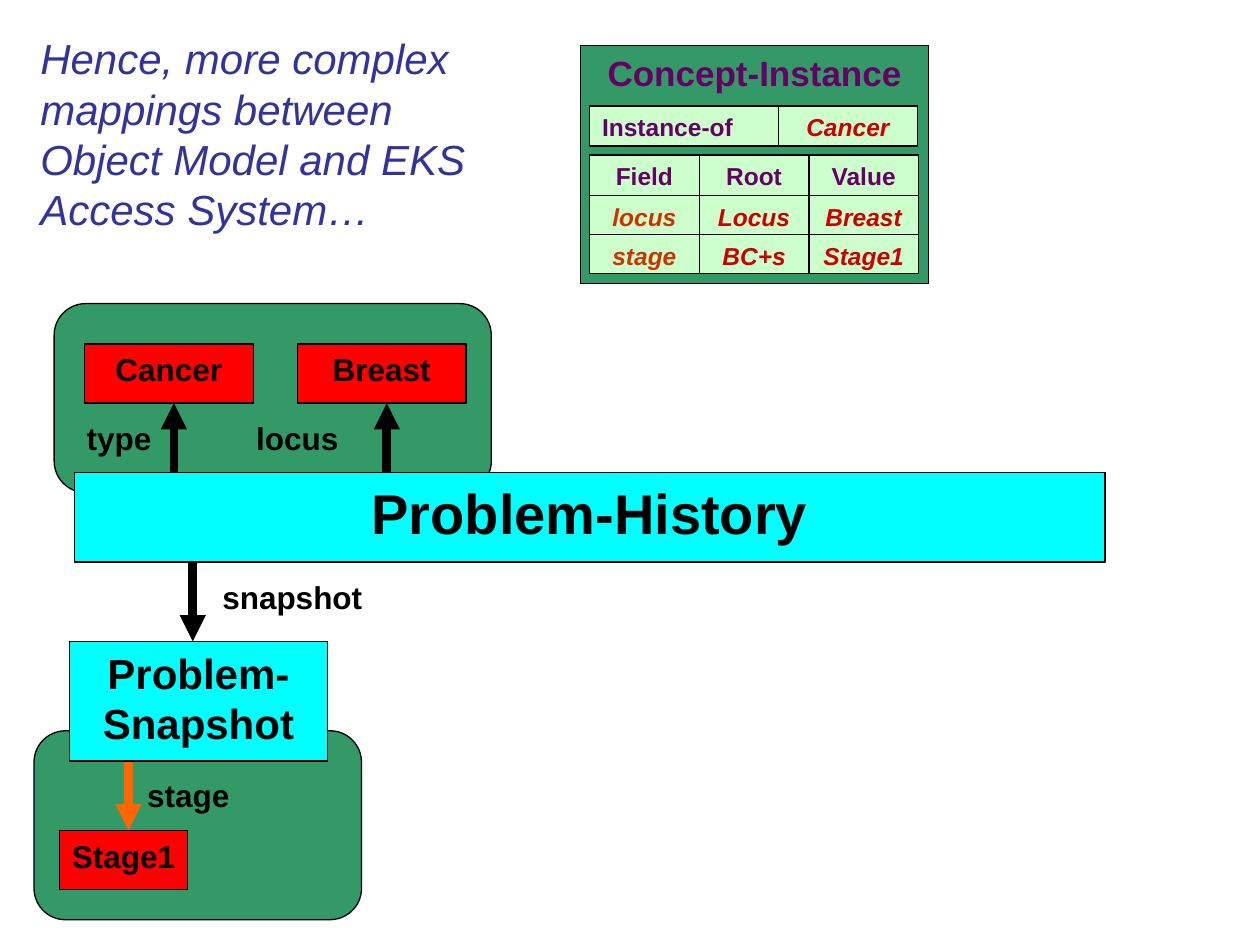
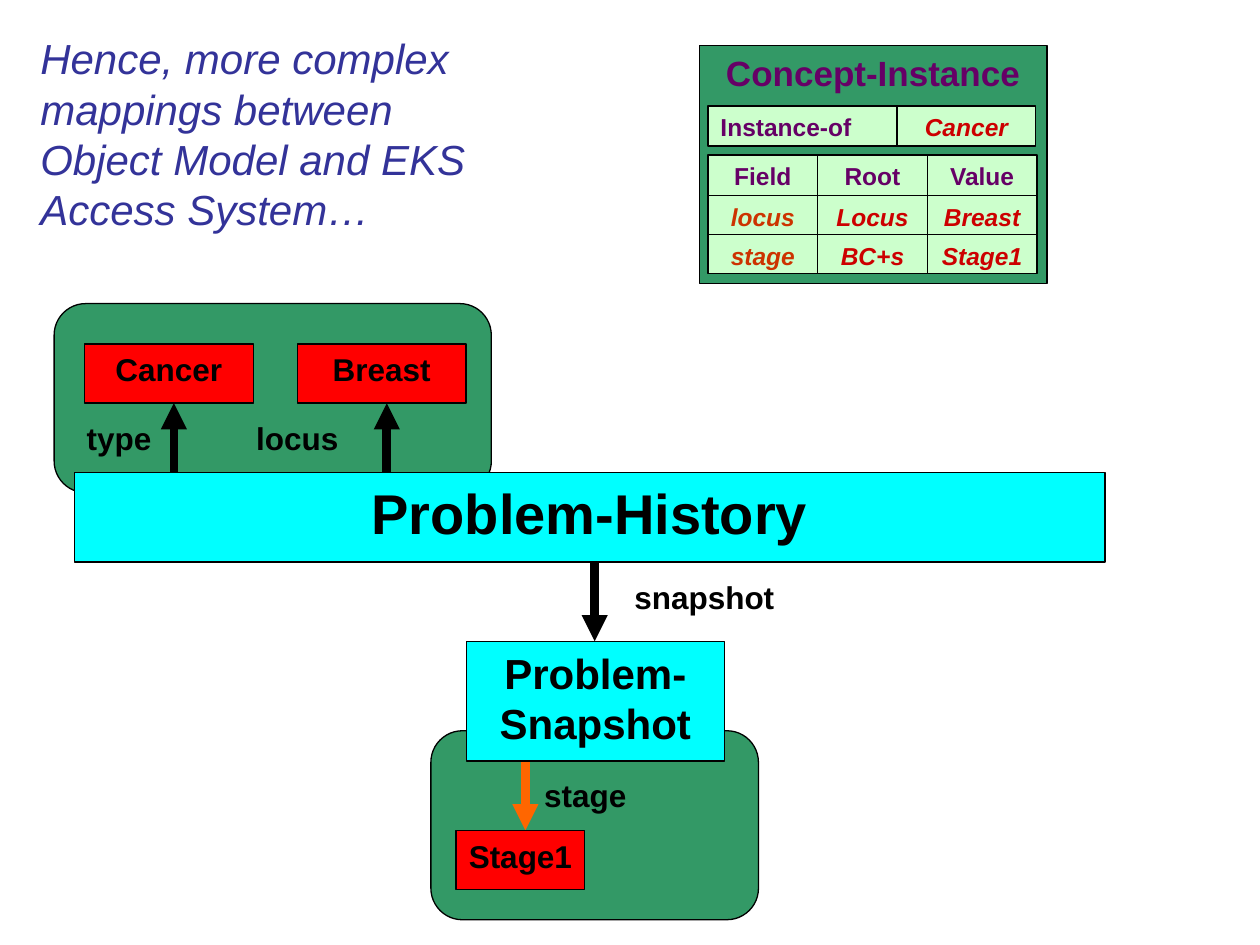
from dataclasses import dataclass
from itertools import accumulate

from lxml.etree import SubElement
from pptx import Presentation
from pptx.dml.color import RGBColor as Rgb
from pptx.enum.shapes import MSO_CONNECTOR as Conn, MSO_SHAPE as Kind
from pptx.enum.text import MSO_ANCHOR as Anchor, MSO_AUTO_SIZE as Fit, PP_ALIGN as Align
from pptx.oxml.ns import qn
from pptx.slide import Slide
from pptx.text.text import TextFrame
from pptx.util import Emu, Pt

SCALE = 9144  # EMU in one px, at 100 px to the inch


# Theme
@dataclass(frozen=True)
class Theme:
    font: str = "Arial"
    black: str = "000000"
    green: str = "339966"
    mint: str = "CCFFCC"
    cyan: str = "00FFFF"
    red: str = "FF0000"
    orange: str = "FF6600"
    blue: str = "333399"
    plum: str = "660066"
    ruby: str = "CC0000"
    rust: str = "CC3300"
    banner: int = 32
    title: int = 24
    head: int = 20
    body: int = 18
    cell: int = 14
    edge: float = 0.75
    arrow: int = 5
    gap: float = 11.2


T = Theme()


# Records for what repeats
@dataclass(frozen=True)
class Style:
    size: int
    color: str = T.black
    bold: bool = True
    italic: bool = False
    align: Align = Align.CENTER
    inset: int = 5


@dataclass(frozen=True)
class Area:
    x: int
    y: int
    w: int
    h: int


@dataclass(frozen=True)
class Box:
    area: Area
    fill: str
    text: str = ""
    style: Style = Style(T.body)
    kind: Kind = Kind.RECTANGLE


@dataclass(frozen=True)
class Label:
    text: str
    x: int
    y: int
    w: int


@dataclass(frozen=True)
class Arrow:
    x: int
    start: int
    end: int
    color: str = T.black


@dataclass(frozen=True)
class Layout:
    card: int    # left of the concept card
    branch: int  # left of the snapshot branch
    link: int    # centre of the snapshot arrow
    note: int    # left of the snapshot label


BODY = Style(T.body)
TITLE = Style(T.title, T.blue, bold=False, italic=True, align=Align.LEFT)
HEAD = Style(T.cell, T.plum, inset=10)
ROOT = Style(T.cell, T.ruby, italic=True, inset=10)
FIELD = Style(T.cell, T.rust, italic=True, inset=10)
INTRO = "Hence, more complex mappings between Object Model and EKS Access System…"
ROWS = [("Field", "Root", "Value"),
        ("locus", "Locus", "Breast"),
        ("stage", "BC+s", "Stage1")]
LAYOUTS = [Layout(card=461, branch=27, link=153, note=157),
           Layout(card=555, branch=342, link=472, note=484)]


# Drawing tools
def px(n: int) -> Emu:
    return Emu(n * SCALE)


def place(area: Area) -> tuple[Emu, ...]:
    return px(area.x), px(area.y), px(area.w), px(area.h)


def write(frame: TextFrame, text: str, style: Style) -> None:
    frame.word_wrap = True
    frame.vertical_anchor = Anchor.TOP
    frame.margin_left = frame.margin_right = px(style.inset)
    frame.margin_top = frame.margin_bottom = px(5)
    frame.text = text
    para = frame.paragraphs[0]
    para.alignment = style.align
    font = para.runs[0].font
    font.name, font.size = T.font, Pt(style.size)
    font.bold, font.italic = style.bold, style.italic
    font.color.rgb = Rgb.from_string(style.color)


def draw_box(slide: Slide, box: Box) -> None:
    shape = slide.shapes.add_shape(box.kind, *place(box.area))
    shape.shadow.inherit = False
    shape.fill.solid()
    shape.fill.fore_color.rgb = Rgb.from_string(box.fill)
    shape.line.color.rgb = Rgb.from_string(T.black)
    shape.line.width = Pt(T.edge)
    if box.text:
        write(shape.text_frame, box.text, box.style)


def draw_label(slide: Slide, label: Label) -> None:
    area = Area(label.x, label.y, label.w, 40)
    frame = slide.shapes.add_textbox(*place(area)).text_frame
    write(frame, label.text, Style(T.body, inset=10))
    frame.auto_size = Fit.SHAPE_TO_FIT_TEXT
    frame.paragraphs[0].space_before = Pt(T.gap)


def draw_arrow(slide: Slide, arrow: Arrow) -> None:
    x = px(arrow.x)
    line = slide.shapes.add_connector(
        Conn.STRAIGHT, x, px(arrow.start), x, px(arrow.end))
    line.line.color.rgb = Rgb.from_string(arrow.color)
    line.line.width = Pt(T.arrow)
    props = line._element.spPr
    SubElement(props.find(qn("a:ln")), qn("a:tailEnd"), type="triangle")
    SubElement(props, qn("a:effectLst"))


# Slide parts
def draw_panel(slide: Slide, x: int, y: int, w: int) -> None:
    draw_box(slide, Box(Area(x, y, w, 150), T.green, kind=Kind.ROUNDED_RECTANGLE))


def draw_card(slide: Slide, x: int) -> None:
    draw_box(slide, Box(Area(x, 36, 276, 189), T.green, "Concept-Instance",
                        Style(T.head, T.plum, inset=10)))
    left = x + 7
    key = Style(T.cell, T.plum, align=Align.LEFT, inset=10)
    draw_box(slide, Box(Area(left, 84, 150, 32), T.mint, "Instance-of", key))
    draw_box(slide, Box(Area(left + 150, 84, 110, 32), T.mint, "Cancer", ROOT))
    highs = [32, 31, 31]
    tops = accumulate(highs, initial=123)
    for row, (words, y, h) in enumerate(zip(ROWS, tops, highs)):
        for col, word in enumerate(words):
            style = HEAD if row == 0 else FIELD if col == 0 else ROOT
            draw_box(slide, Box(Area(left + col * 87, y, 87, h), T.mint, word, style))


def draw_slide(slide: Slide, lay: Layout) -> None:
    # Green panels
    draw_panel(slide, lay.branch, 580, 260)
    draw_panel(slide, 43, 241, 347)

    # Link names and arrows
    for label in (Label("type", 51, 328, 87),
                  Label("locus", 189, 328, 94),
                  Label("snapshot", lay.note, 454, 150),
                  Label("stage", lay.branch + 79, 611, 87)):
        draw_label(slide, label)
    for arrow in (Arrow(138, 375, 320),
                  Arrow(307, 375, 320),
                  Arrow(lay.link, 446, 509),
                  Arrow(lay.branch + 75, 603, 659, T.orange)):
        draw_arrow(slide, arrow)

    # Objects and their values
    for box in (Box(Area(lay.branch + 28, 509, 205, 95), T.cyan,
                    "Problem-Snapshot", Style(T.title)),
                Box(Area(lay.branch + 20, 659, 102, 47), T.red, "Stage1"),
                Box(Area(67, 273, 134, 47), T.red, "Cancer"),
                Box(Area(236, 273, 134, 47), T.red, "Breast")):
        draw_box(slide, box)

    # Concept card, title and banner
    draw_card(slide, lay.card)
    title = slide.shapes.add_textbox(*place(Area(27, 21, 386, 181)))
    write(title.text_frame, INTRO, TITLE)
    draw_box(slide, Box(Area(59, 375, 818, 71), T.cyan,
                        "Problem-History", Style(T.banner)))


def main() -> None:
    deck = Presentation()
    deck.slide_width, deck.slide_height = px(1000), px(750)
    for lay in LAYOUTS:
        draw_slide(deck.slides.add_slide(deck.slide_layouts[6]), lay)
    deck.save("out.pptx")


if __name__ == "__main__":
    main()
